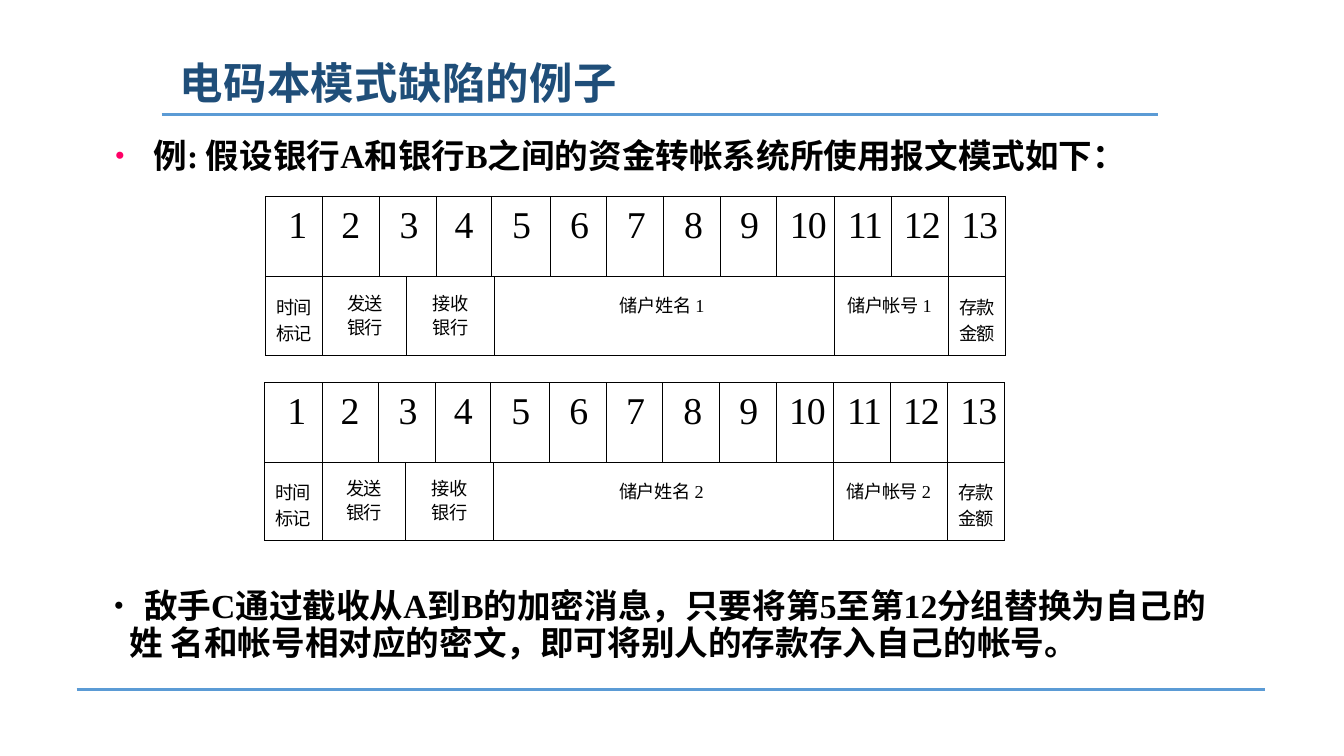
"""Build a slide on a weakness of codebook mode, shown by bank transfer messages."""
from dataclasses import dataclass
from itertools import groupby

from lxml.etree import SubElement
from pptx import Presentation
from pptx.dml.color import RGBColor
from pptx.enum.shapes import MSO_CONNECTOR
from pptx.enum.text import MSO_ANCHOR
from pptx.oxml.ns import qn
from pptx.util import Pt

COLORS = {"ink": "000000", "title": "1F4E79", "rule": "5B9BD5", "accent": "FF0066"}
CJK, SERIF, SANS = "Noto Sans CJK SC", "Times New Roman", "Arial"
COLUMNS = (41, 40.5, 19.5, 21, 39.5, 2, 40, 40.5, 40.5, 40.5, 40.5, 41, 40.5, 41, 41)
ROW_HEIGHTS = (57, 56)


@dataclass(frozen=True)
class Field:
    """A message cell: its lines, column span, indent and top margin in points."""
    lines: tuple
    span: int
    indent: float
    top: float
    size: float = 13
    spacing: float = -0.3
    leading: object = None


@dataclass(frozen=True)
class Message:
    """A message table for one depositor."""
    depositor: int
    left: float
    top: float


@dataclass(frozen=True)
class Rule:
    """A horizontal line."""
    left: float
    right: float
    y: float


BLOCK_INDENTS = (16.5, 13.5, 14.5, 13.5, 15, 14.5, 14.5, 15, 14.5, 9.5, 10, 9.5, 9.5)
BLOCKS = [
    Field((str(number),), 2 if number in (3, 5) else 1, indent, 6, size=27,
          spacing=-0.1 if number < 10 else -1 if number == 11 else -0.7)
    for number, indent in enumerate(BLOCK_INDENTS, 1)
]
MESSAGES = (Message(1, 189.4, 140.4), Message(2, 188.8, 273))
RULES = (Rule(54.8, 903.6, 492.4), Rule(115.4, 827, 81.5))


def message_fields(depositor: int) -> list[Field]:
    """Return the lower row of a message."""
    return [
        Field(("时间 标记",), 1, 8, 12, spacing=-0.5),
        Field(("发送", "银行"), 2, 17.5, 11, leading=Pt(17)),
        Field(("接收", "银行"), 3, 18.7, 11, leading=Pt(17)),
        Field((f"储户姓名 {depositor}",), 6, 90, 11, spacing=-0.2),
        Field((f"储户帐号 {depositor}",), 2, 9.4, 11, spacing=-0.2),
        Field(("存款 金额",), 1, 8, 12, spacing=-0.5),
    ]


def write(paragraph, text: str, *, size: float, color: str = "ink", bold: bool = False,
          spacing: float = 0, font: str = CJK) -> None:
    """Add text, with Latin letters and digits in the serif font."""
    for latin, part in groupby(text, lambda c: c.isascii() and not c.isspace()):
        run = paragraph.add_run()
        run.text = "".join(part)
        run.font.size = Pt(size)
        run.font.bold = bold
        run.font.color.rgb = RGBColor.from_string(COLORS[color])
        run.font.name = SERIF if latin else font
        properties = run.font._element
        SubElement(properties, qn("a:ea")).set("typeface", CJK)
        if spacing:
            properties.set("spc", str(round(spacing * 100)))


def indent(paragraph, left: float, first: float = 0) -> None:
    """Set the left and first-line indents."""
    properties = paragraph._p.get_or_add_pPr()
    properties.set("marL", str(Pt(left)))
    properties.set("indent", str(Pt(first)))


def add_box(slide, left: float, top: float, width: float, height: float, leading: float):
    """Add a wrapping text box and return its first paragraph."""
    frame = slide.shapes.add_textbox(Pt(left), Pt(top), Pt(width), Pt(height)).text_frame
    frame.word_wrap = True
    frame.margin_left = frame.margin_right = frame.margin_bottom = 0
    frame.margin_top = Pt(2.5)
    paragraph = frame.paragraphs[0]
    paragraph.line_spacing = Pt(leading)
    return paragraph


def outline(cell) -> None:
    """Give a cell thin borders and no fill."""
    cell.fill.background()
    properties = cell._tc.get_or_add_tcPr()
    for position, side in enumerate(("lnL", "lnR", "lnT", "lnB")):
        border = SubElement(properties, qn(f"a:{side}"), w=str(Pt(0.25)))
        fill = SubElement(border, qn("a:solidFill"))
        SubElement(fill, qn("a:srgbClr"), val=COLORS["ink"])
        properties.insert(position, border)


def fill_field(cell, field: Field) -> None:
    """Write a field into a cell."""
    cell.margin_left = cell.margin_right = cell.margin_bottom = 0
    cell.margin_top = Pt(field.top)
    cell.vertical_anchor = MSO_ANCHOR.TOP
    frame = cell.text_frame
    for number, line in enumerate(field.lines):
        paragraph = frame.add_paragraph() if number else frame.paragraphs[0]
        indent(paragraph, field.indent)
        paragraph.line_spacing = field.leading
        write(paragraph, line, size=field.size, spacing=field.spacing)


def add_message(slide, message: Message) -> None:
    """Draw the numbered blocks and the fields of a message."""
    table = slide.shapes.add_table(
        len(ROW_HEIGHTS), len(COLUMNS), Pt(message.left), Pt(message.top),
        Pt(sum(COLUMNS)), Pt(sum(ROW_HEIGHTS))).table
    table.first_row = table.horz_banding = False
    for column, width in zip(table.columns, COLUMNS):
        column.width = Pt(width)
    for row, height in zip(table.rows, ROW_HEIGHTS):
        row.height = Pt(height)
    for cell in table.iter_cells():
        outline(cell)
    for row, fields in enumerate((BLOCKS, message_fields(message.depositor))):
        column = 0
        for field in fields:
            cell = table.cell(row, column)
            if field.span > 1:
                cell.merge(table.cell(row, column + field.span - 1))
            fill_field(cell, field)
            column += field.span


def add_rule(slide, rule: Rule) -> None:
    """Draw a horizontal line."""
    line = slide.shapes.add_connector(
        MSO_CONNECTOR.STRAIGHT, Pt(rule.left), Pt(rule.y), Pt(rule.right), Pt(rule.y))
    line.line.color.rgb = RGBColor.from_string(COLORS["rule"])
    line.line.width = Pt(2.16)
    SubElement(line._element.spPr, qn("a:effectLst"))


def main() -> None:
    """Build and save the slide."""
    deck = Presentation()
    deck.slide_width, deck.slide_height = Pt(960), Pt(540)
    slide = deck.slides.add_slide(deck.slide_layouts[6])
    for message in MESSAGES:
        add_message(slide, message)

    attack = add_box(slide, 72.7, 417.6, 805.7, 54.7, 26.6)
    indent(attack, 19.8, -19)
    write(attack, "• ", size=24, font=SANS)
    write(attack, "敌手C通过截收从A到B的加密消息，只要将第5至第12分组替换为自己的姓 名和"
          "帐号相对应的密文，即可将别人的存款存入自己的帐号。", size=24, bold=True)

    example = add_box(slide, 72.7, 94.3, 736.6, 30.2, 28.7)
    indent(example, 0.9)
    tabs = SubElement(example._p.get_or_add_pPr(), qn("a:tabLst"))
    SubElement(tabs, qn("a:tab"), pos=str(Pt(49.5)), algn="l")
    write(example, "•\t", size=24, color="accent", font=SANS)
    write(example, "例: 假设银行A和银行B之间的资金转帐系统所使用报文模式如下：",
          size=24, bold=True)

    title = add_box(slide, 127.4, 38.9, 317.5, 38.2, 36)
    indent(title, 0.9)
    write(title, "电码本模式缺陷的例子", size=31, color="title", bold=True, spacing=0.3)

    for rule in RULES:
        add_rule(slide, rule)
    deck.save("out.pptx")


if __name__ == "__main__":
    main()
